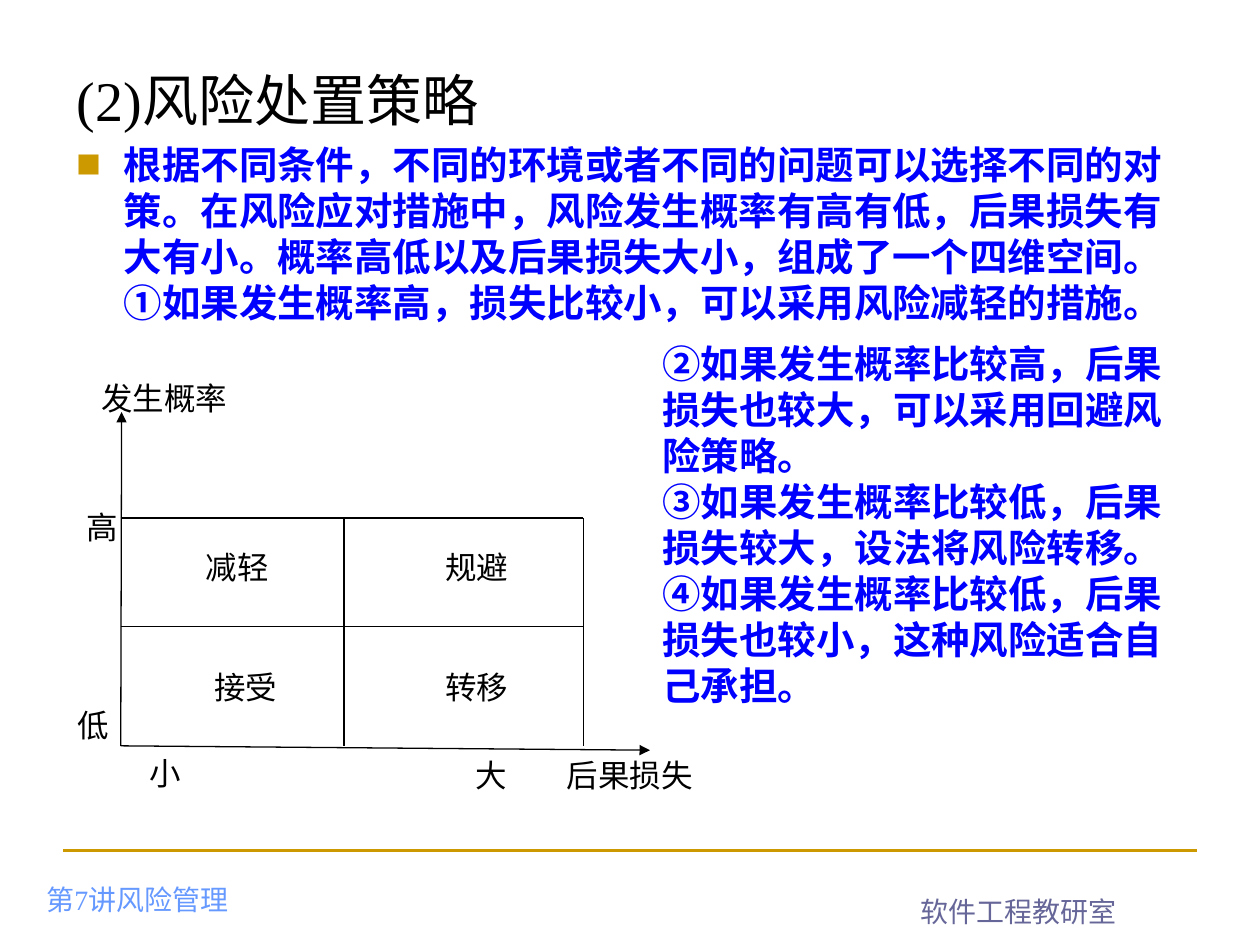
from collections import namedtuple

from lxml.etree import SubElement
from pptx import Presentation
from pptx.dml.color import RGBColor
from pptx.enum.shapes import MSO_CONNECTOR as Connector
from pptx.enum.text import MSO_ANCHOR as Anchor, PP_ALIGN as Align
from pptx.oxml.ns import qn
from pptx.util import Pt

BLACK = RGBColor(0, 0, 0)
BLUE = RGBColor(0, 0, 255)
GOLD = RGBColor(0xCC, 0x99, 0)
SKY = RGBColor(0x66, 0x99, 0xFF)
SLATE = RGBColor(0x66, 0x66, 0x99)
CHINESE = "Noto Sans CJK SC"
SERIF = "Times New Roman"

Box = namedtuple("Box", "left top width height")


def place(shape, box):
    shape.left, shape.top, shape.width, shape.height = map(Pt, box)


def write(shape, text, size=18, font="Arial", color=BLACK, bold=False,
          align=Align.LEFT, anchor=Anchor.TOP, line_spacing=None):
    frame = shape.text_frame
    frame.word_wrap = True
    frame.vertical_anchor = anchor
    frame.margin_left = frame.margin_right = Pt(7.2)
    frame.margin_top = frame.margin_bottom = Pt(3.6)
    paragraph = frame.paragraphs[0]
    paragraph.text = text.replace("\n", "\v")
    paragraph.alignment = align
    paragraph.space_before = Pt(0)
    if line_spacing:
        paragraph.line_spacing = Pt(line_spacing)
    for run in paragraph.runs:
        run.font.size = Pt(size)
        run.font.name = font
        run.font.bold = bold
        run.font.color.rgb = color
        east_asian = SubElement(run.font._element, qn("a:ea"))
        east_asian.set("typeface", CHINESE)
        run.font._element.find(qn("a:latin")).addnext(east_asian)
    return paragraph


def add_text(slide, box, text, **text_format):
    shape = slide.shapes.add_textbox(*map(Pt, box))
    return write(shape, text, **text_format)


def add_line(slide, start, end, color=BLACK, width=0.75, arrow=False):
    line = slide.shapes.add_connector(
        Connector.STRAIGHT, *map(Pt, (*start, *end)))
    line.line.color.rgb = color
    line.line.width = Pt(width)
    if arrow:
        outline = line.line._get_or_add_ln()
        SubElement(outline, qn("a:tailEnd")).set("type", "triangle")
    SubElement(line._element.spPr, qn("a:effectLst"))


def add_bullet(paragraph, character, color, percent):
    paragraph.space_before = Pt(0)
    properties = paragraph._p.get_or_add_pPr()
    properties.set("marL", str(Pt(27)))
    properties.set("indent", str(-Pt(27)))
    fill = SubElement(properties, qn("a:buClr"))
    SubElement(fill, qn("a:srgbClr")).set("val", str(color))
    SubElement(properties, qn("a:buSzPct")).set("val", str(percent * 1000))
    SubElement(properties, qn("a:buFont")).set("typeface", CHINESE)
    SubElement(properties, qn("a:buChar")).set("char", character)


def add_title(slide, box):
    title = slide.shapes.title
    place(title, box)
    write(title, "(2)风险处置策略", size=32, font=SERIF, anchor=Anchor.MIDDLE)


def add_strategies(slide, intro_box, detail_box):
    style = dict(size=22, font=CHINESE, color=BLUE, bold=True,
                 line_spacing=26.3)
    intro = add_text(
        slide, intro_box,
        "根据不同条件，不同的环境或者不同的问题可以选择不同的对策。"
        "在风险应对措施中，风险发生概率有高有低，后果损失有大有小。"
        "概率高低以及后果损失大小，组成了一个四维空间。\n"
        "①如果发生概率高，损失比较小，可以采用风险减轻的措施。", **style)
    add_bullet(intro, "■", GOLD, 65)
    add_text(
        slide, detail_box,
        "②如果发生概率比较高，后果损失也较大，可以采用回避风险策略。\n"
        "③如果发生概率比较低，后果损失较大，设法将风险转移。\n"
        "④如果发生概率比较低，后果损失也较小，这种风险适合自己承担。",
        **style)


def add_risk_matrix(slide, box):
    left, top, width, height = box
    right, bottom = left + width, top + height
    middle_x, middle_y = left + 127.5, top + 62

    add_line(slide, (left, bottom), (left + 0.5, top - 60.5), arrow=True)
    add_line(slide, (left, bottom), (right + 38, bottom + 2.5), arrow=True)
    for y in (top, middle_y):
        add_line(slide, (left, y), (right, y))
    for x in (middle_x, right):
        add_line(slide, (x, top), (x, bottom))

    labels = [
        ("发生概率", 25, -68.5), ("高", -10.5, 5), ("低", -15.5, 118.5),
        ("小", 25.5, 145.5), ("大", 212, 147), ("后果损失", 291, 147),
        ("减轻", 66.5, 28), ("规避", 203.5, 28),
        ("接受", 71.5, 96.5), ("转移", 203.5, 96.5),
    ]
    for text, center_x, center_y in labels:
        label_box = Box(left + center_x - 45.7, top + center_y - 14.4,
                        91.4, 28.8)
        add_text(slide, label_box, text, align=Align.CENTER)


def add_footer(slide, box):
    left, top, width, height = box
    add_line(slide, (left, top), (left + width, top), GOLD, 1.5)
    style = dict(size=16, font=SERIF, anchor=Anchor.BOTTOM)
    add_text(slide, Box(left - 16.5, top + 5, 295, 36), "第7讲风险管理",
             color=SKY, **style)
    add_text(slide, Box(left + 432, top + height - 36, 228, 36),
             "软件工程教研室", color=SLATE, align=Align.CENTER, **style)


def main():
    presentation = Presentation()
    presentation.slide_width, presentation.slide_height = Pt(720), Pt(540)
    slide = presentation.slides.add_slide(presentation.slide_layouts[5])
    add_footer(slide, Box(36, 486, 648, 48))
    add_title(slide, Box(36.7, 31.7, 648, 49.7))
    add_strategies(slide, Box(36.7, 77, 648, 130.3),
                   Box(371.5, 190.8, 306, 218.9))
    add_risk_matrix(slide, Box(69, 296, 264.4, 130.2))
    presentation.save("out.pptx")


if __name__ == "__main__":
    main()
